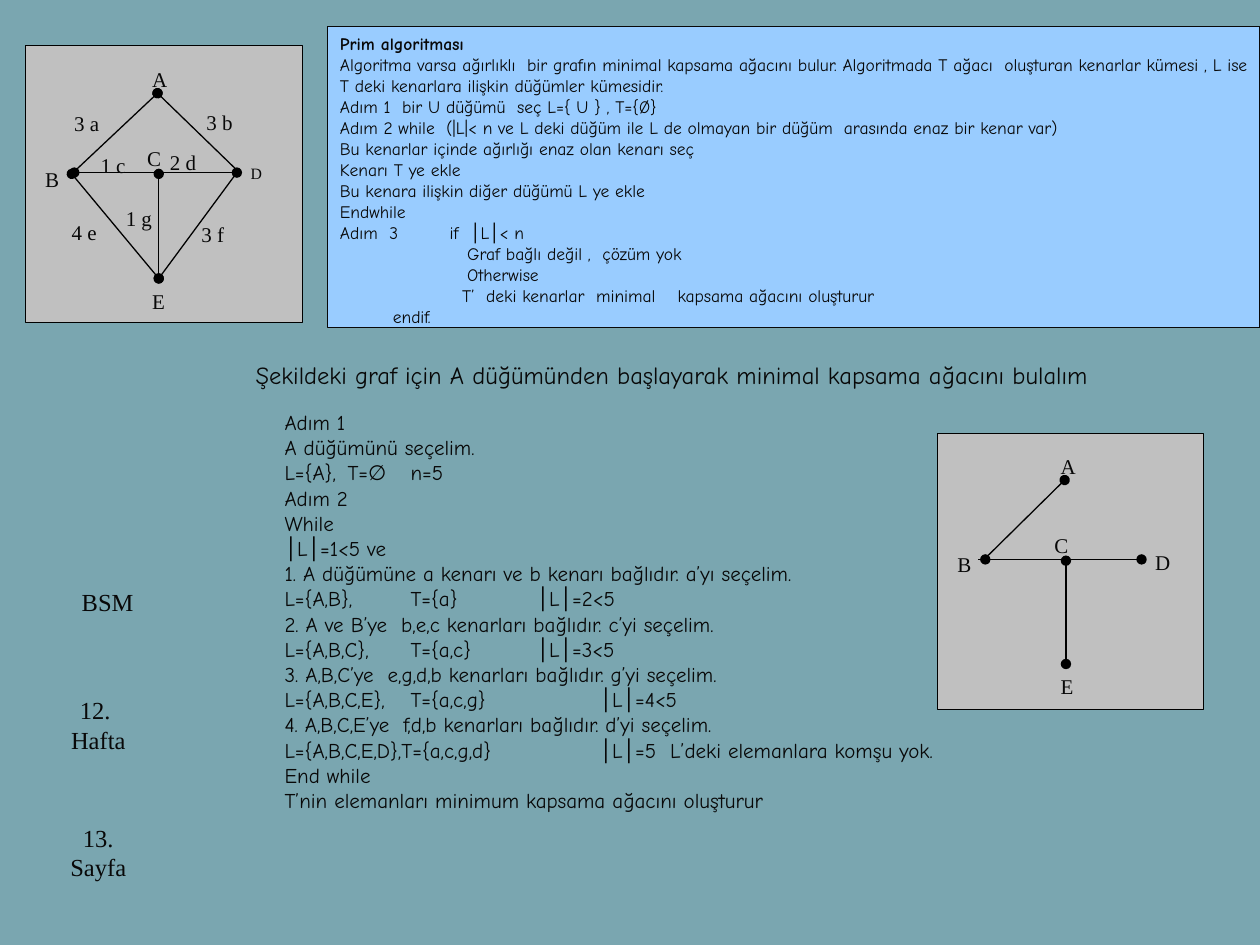
import pptx
import pptx.dml.color
import pptx.enum.shapes
import pptx.enum.text
import pptx.oxml.ns
import pptx.util
from lxml import etree

Inches = pptx.util.Inches
Pt = pptx.util.Pt
Anchor = pptx.enum.text.MSO_ANCHOR
INK = "080808"
SANS = "Comic Neue"
SERIF = "Times New Roman"


def colour(value):
    return pptx.dml.color.RGBColor.from_string(value)


def add_xml(parent, tag, **attributes):
    return etree.SubElement(parent, pptx.oxml.ns.qn(tag), attributes)


class SlideBuilder:
    """Holds the slide, its text colour and its thin black lines."""

    def __init__(self, slide, background):
        self.slide = slide
        slide.background.fill.solid()
        slide.background.fill.fore_color.rgb = colour(background)

    def panel(self, box, fill, line="000000", parent=None):
        shapes = (parent or self.slide).shapes
        panel = shapes.add_shape(pptx.enum.shapes.MSO_SHAPE.RECTANGLE, *map(Inches, box))
        panel.shadow.inherit = False
        panel.fill.solid()
        panel.fill.fore_color.rgb = colour(fill)
        panel.line.color.rgb = colour(line)
        panel.line.width = Pt(0.75)
        return panel

    def fill_frame(self, frame, lines, size, font, align=pptx.enum.text.PP_ALIGN.LEFT):
        """Fill a frame; a line is a text or a pair of text and tab stops in inches."""
        for index, line in enumerate(lines):
            text, stops = (line, ()) if isinstance(line, str) else line
            paragraph = frame.add_paragraph() if index else frame.paragraphs[0]
            paragraph.text = text
            paragraph.alignment = align
            if stops:
                tabs = add_xml(paragraph._p.get_or_add_pPr(), "a:tabLst")
                for stop in stops:
                    add_xml(tabs, "a:tab", pos=str(Inches(stop)), algn="l")
            paragraph.font.size = Pt(size)
            paragraph.font.name = font
            paragraph.font.color.rgb = colour(INK)

    def text(self, box, lines, size, font=SERIF, parent=None, wrap=True, grow=False,
             anchor=Anchor.TOP, align=pptx.enum.text.PP_ALIGN.LEFT):
        frame = (parent or self.slide).shapes.add_textbox(*map(Inches, box)).text_frame
        frame.word_wrap = wrap
        frame.vertical_anchor = anchor
        if grow:
            frame.auto_size = pptx.enum.text.MSO_AUTO_SIZE.SHAPE_TO_FIT_TEXT
        self.fill_frame(frame, lines, size, font, align)

    def edge(self, parent, start, end, ends=("a:headEnd",)):
        """Draw a line with a round dot at each of the given ends."""
        edge = parent.shapes.add_connector(
            pptx.enum.shapes.MSO_CONNECTOR.STRAIGHT, *map(Inches, start + end))
        edge.line.color.rgb = colour("000000")
        edge.line.width = Pt(0.75)
        outline = edge._element.spPr.find(pptx.oxml.ns.qn("a:ln"))
        for tag in ends:
            add_xml(outline, tag, type="oval")
        add_xml(edge._element.spPr, "a:effectLst")

    def graph(self, box, edges, labels, label_height):
        group = self.slide.shapes.add_group_shape()
        self.panel(box, "C0C0C0", parent=group)
        for edge in edges:
            self.edge(group, *edge)
        for label, left, top, width, size in labels:
            self.text((left, top, width, label_height), [label], size, parent=group)


BOTH_ENDS = ("a:headEnd", "a:tailEnd")
FIRST_STOP = (0.25,)

ALGORITHM = [(line, FIRST_STOP) for line in (
    "Prim algoritması",
    "Algoritma varsa ağırlıklı  bir grafın minimal kapsama ağacını bulur. Algoritmada T ağacı  "
    "oluşturan kenarlar kümesi , L ise T deki kenarlara ilişkin düğümler kümesidir.",
    "Adım 1  bir U düğümü  seç L={ U } , T={Ø}",
    "Adım 2 while  (|L|< n ve L deki düğüm ile L de olmayan bir düğüm \tarasında enaz bir kenar var)",
    "Bu kenarlar içinde ağırlığı enaz olan kenarı seç",
    "Kenarı T ye ekle",
    "Bu kenara ilişkin diğer düğümü L ye ekle",
    "Endwhile",
)] + [
    ("Adım  3\tif  │L│< n", (0.87,)),
    ("\tGraf bağlı değil ,  çözüm yok", (1.01,)),
    ("\tOtherwise", (1.01,)),
    ("\tT’  deki kenarlar  minimal\tkapsama ağacını oluşturur", (0.97, 2.68)),
    ("\tendif.", (0.42,)),
]

SOLUTION = [
    "Adım 1",
    "A düğümünü seçelim.",
    "L={A},\tT=∅\tn=5",
    "Adım 2",
    "While",
    "│L│=1<5 ve",
    "1. A düğümüne a kenarı ve b kenarı bağlıdır. a’yı seçelim.",
    "L={A,B},\tT={a}\t\t│L│=2<5",
    "2. A ve B’ye  b,e,c kenarları bağlıdır. c’yi seçelim.",
    "L={A,B,C},\tT={a,c}\t\t│L│=3<5",
    "3. A,B,C’ye  e,g,d,b kenarları bağlıdır. g’yi seçelim.",
    "L={A,B,C,E},\tT={a,c,g}\t\t│L│=4<5",
    "4. A,B,C,E’ye  f,d,b kenarları bağlıdır. d’yi seçelim.",
    "L={A,B,C,E,D},T={a,c,g,d}\t\t│L│=5  L’deki elemanlara komşu yok.",
    "End while",
    "T’nin elemanları minimum kapsama ağacını oluşturur",
]

# Nodes of the weighted graph
A, B, C, D, E = (1.25, 0.74), (0.57, 1.38), (1.26, 1.38), (1.88, 1.37), (1.26, 2.21)
GRAPH_EDGES = [
    (A, B), (A, (1.88, 1.35)), (D, (0.53, 1.37)), (B, E),
    (E, C, BOTH_ENDS), (E, D), ((0.59, 1.37), (1.26, 1.37)),
]
NODE_LABELS = [("A", 1.11, 0.48, 12), ("B", 0.26, 1.27, 12), ("D", 1.89, 1.25, 9),
               ("E", 1.11, 2.24, 12), ("C", 1.07, 1.11, 12)]
WEIGHT_LABELS = [("3 a", 0.49, 0.83), ("3 b", 1.54, 0.82), ("4 e", 0.47, 1.69),
                 ("3 f", 1.5, 1.71), ("2 d", 1.25, 1.14), ("1 c", 0.7, 1.16),
                 ("1 g", 0.9, 1.58)]
GRAPH_LABELS = [(name, x, y, 0.37, size) for name, x, y, size in NODE_LABELS]
GRAPH_LABELS += [(name, x, y, 0.54, 12) for name, x, y in WEIGHT_LABELS]

TREE_EDGES = [
    ((8.45, 3.81), (7.8, 4.45)), ((9.06, 4.44), (7.76, 4.44)),
    ((8.46, 5.27), (8.46, 4.45), BOTH_ENDS), ((7.82, 4.44), (8.46, 4.44)),
]
TREE_LABELS = [(name, x, y, 0.35, 12) for name, x, y in (
    ("A", 8.32, 3.55), ("B", 7.5, 4.33), ("D", 9.07, 4.31),
    ("E", 8.32, 5.3), ("C", 8.27, 4.18))]


def main():
    presentation = pptx.Presentation()
    presentation.slide_width, presentation.slide_height = Inches(10), Inches(7.5)
    builder = SlideBuilder(
        presentation.slides.add_slide(presentation.slide_layouts[6]), "7AA6B0")

    algorithm = builder.panel((2.6, 0.21, 7.4, 2.39), "99CCFF", INK).text_frame
    algorithm.word_wrap = True
    algorithm.vertical_anchor = Anchor.MIDDLE
    algorithm.margin_bottom = 0
    algorithm.auto_size = pptx.enum.text.MSO_AUTO_SIZE.SHAPE_TO_FIT_TEXT
    builder.fill_frame(algorithm, ALGORITHM, 10, SANS)
    algorithm.paragraphs[0].font.bold = True

    builder.text((1.93, 2.81, 7.16, 0.33),
                 ["Şekildeki graf için A düğümünden başlayarak minimal kapsama ağacını bulalım"],
                 14, SANS, grow=True, anchor=Anchor.MIDDLE)
    builder.graph((0.2, 0.36, 2.2, 2.2), GRAPH_EDGES, GRAPH_LABELS, 0.33)
    builder.text((2.16, 3.2, 5.99, 3.3), SOLUTION, 12, SANS,
                 wrap=False, grow=True, anchor=Anchor.MIDDLE)
    builder.graph((7.44, 3.44, 2.11, 2.19), TREE_EDGES, TREE_LABELS, 0.32)

    center = pptx.enum.text.PP_ALIGN.CENTER
    builder.text((0.39, 5.47, 0.78, 0.7), ["12.  Hafta"], 14, align=center)
    builder.text((0.39, 6.48, 0.78, 0.62), ["13. Sayfa"], 14, align=center)
    builder.text((0.55, 4.61, 0.62, 0.34), ["BSM"], 14, grow=True)
    presentation.save("out.pptx")


if __name__ == "__main__":
    main()
